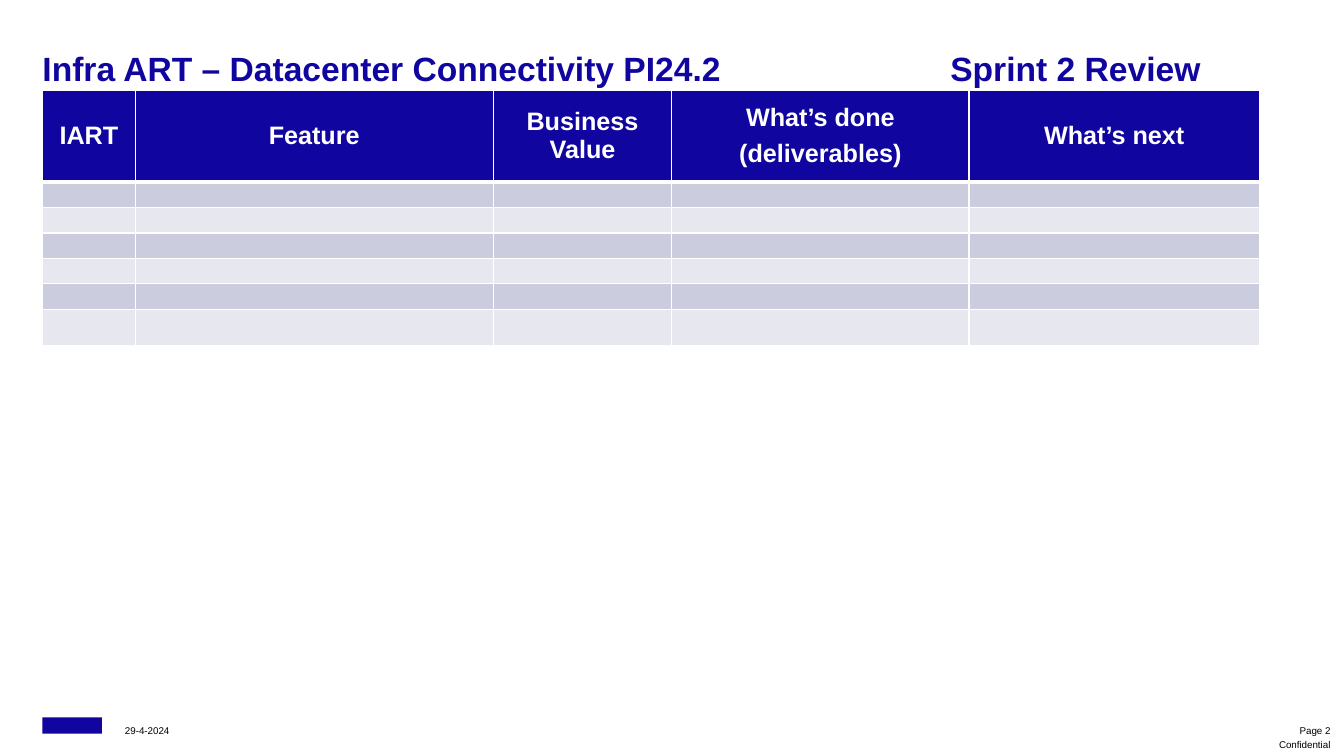
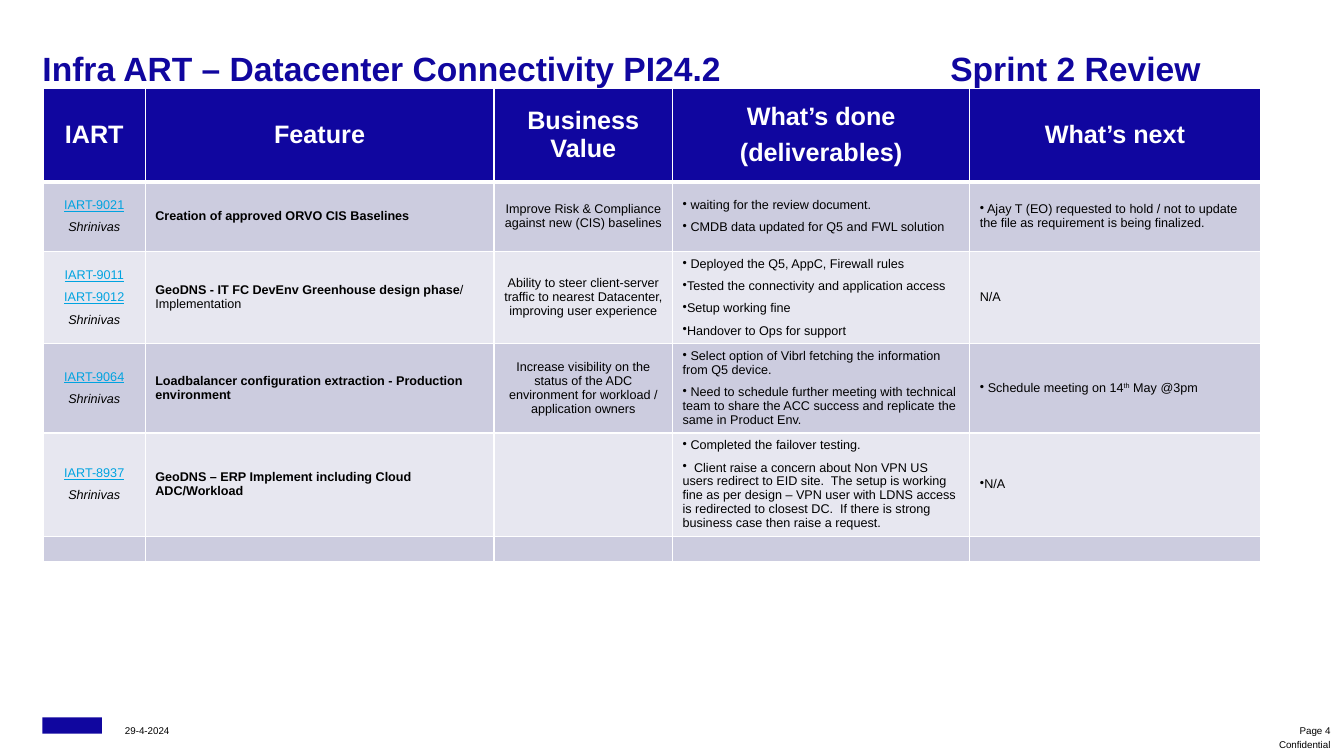
from dataclasses import dataclass

from lxml import etree
from pptx import Presentation
from pptx.dml.color import RGBColor
from pptx.enum import shapes, text
from pptx.oxml.ns import qn
from pptx.util import Cm, Pt


# Theme: every colour and type size
@dataclass(frozen=True)
class Theme:
    font: str = "Arial"
    brand: str = "10069F"
    link: str = "00A3E0"
    ink: str = "000000"
    white: str = "FFFFFF"
    bands: tuple = ("CCCCDF", "E7E7F0")
    title: float = 24
    heading: float = 18
    body: float = 9
    footer: float = 7
    thin: float = 1
    thick: float = 3


THEME = Theme()


# Text model: a line is made of spans
@dataclass(frozen=True)
class Span:
    text: str
    size: float = THEME.body
    color: str = THEME.ink
    bold: bool = False
    italic: bool = False
    underline: bool = False
    raised: bool = False


@dataclass(frozen=True)
class Line:
    spans: tuple
    align: text.PP_ALIGN = text.PP_ALIGN.LEFT
    bullet: bool = False


def plain(words):
    return Line((Span(words),))


def centred(words, **style):
    return Line((Span(words, **style),), text.PP_ALIGN.CENTER)


def issue(*keys, owner="Shrinivas"):
    links = [centred(key, color=THEME.link, underline=True) for key in keys]
    return [*links, centred(owner, italic=True)]


def feature(name, rest=""):
    spans = (Span(name, bold=True),) + ((Span(rest),) if rest else ())
    return [Line(spans)]


def bullets(*items):
    return [Line((Span(item),) if isinstance(item, str) else item, bullet=True)
            for item in items]


def heading(*rows):
    return [centred(row, size=THEME.heading, color=THEME.white, bold=True)
            for row in rows]


class SlideBuilder:
    """Holds the style and the slide being built."""

    def __init__(self, theme):
        self.theme = theme
        self.deck = Presentation()
        self.deck.slide_width, self.deck.slide_height = Cm(33.87), Cm(19.05)
        self.page = None

    def new_page(self, title, subject, number):
        self.page = self.deck.slides.add_slide(self.deck.slide_layouts[5])
        self.title(title, subject)
        self.footer(number)

    def set_line(self, para, line):
        para.text = line.spans[0].text
        for extra in line.spans[1:]:
            para.add_run().text = extra.text
        para.alignment = line.align
        for run, span in zip(para.runs, line.spans):
            font = run.font
            font.name, font.size = self.theme.font, Pt(span.size)
            font.bold, font.italic = span.bold, span.italic
            font.underline = span.underline
            font.color.rgb = RGBColor.from_string(span.color)
            if span.raised:
                font._element.set("baseline", "30000")
        if line.bullet:
            props = para._p.get_or_add_pPr()
            props.set("marL", "0")
            props.set("indent", "0")
            etree.SubElement(props, qn("a:buChar")).set("char", "•")

    def frame(self, box, anchor):
        frame = box.text_frame
        frame.word_wrap = True
        frame.auto_size = text.MSO_AUTO_SIZE.NONE
        frame.vertical_anchor = anchor
        frame.margin_left = frame.margin_right = 0
        frame.margin_top = frame.margin_bottom = 0
        return frame

    def title(self, left_part, right_part):
        box = self.page.shapes.title
        box.left, box.top = Cm(1.07), Cm(1.19)
        box.width, box.height = Cm(30.18), Cm(1.04)
        para = self.frame(box, text.MSO_ANCHOR.BOTTOM).paragraphs[0]
        self.set_line(para, Line((Span(f"{left_part}\t{right_part}", self.theme.title,
                                       self.theme.brand, bold=True),)))
        tabs = etree.SubElement(para._p.get_or_add_pPr(), qn("a:tabLst"))
        stop = etree.SubElement(tabs, qn("a:tab"))
        stop.set("pos", str(Cm(22.88)))
        stop.set("algn", "l")

    def label(self, words, left, top, align):
        box = self.page.shapes.add_textbox(Cm(left), Cm(top), Cm(3), Cm(0.4))
        frame = self.frame(box, text.MSO_ANCHOR.MIDDLE)
        self.set_line(frame.paragraphs[0],
                      Line((Span(words, self.theme.footer),), align))

    def footer(self, number):
        mark = self.page.shapes.add_shape(
            shapes.MSO_SHAPE.RECTANGLE, Cm(1.07), Cm(18.08), Cm(1.5), Cm(0.41))
        mark.shadow.inherit = False
        mark.fill.solid()
        mark.fill.fore_color.rgb = RGBColor.from_string(self.theme.brand)
        mark.line.fill.background()
        self.label("29-4-2024", 3.15, 18.2, text.PP_ALIGN.LEFT)
        self.label(f"Page {number}", 30.53, 18.2, text.PP_ALIGN.RIGHT)
        self.label("Confidential", 30.53, 18.56, text.PP_ALIGN.RIGHT)

    def borders(self, cell, top, bottom):
        props = cell._tc.get_or_add_tcPr()
        thin = self.theme.thin
        for side, width in zip("LRTB", (thin, thin, top, bottom)):
            edge = etree.SubElement(props, qn(f"a:ln{side}"))
            edge.set("w", str(Pt(width)))
            fill = etree.SubElement(edge, qn("a:solidFill"))
            etree.SubElement(fill, qn("a:srgbClr")).set("val", self.theme.white)

    def cell(self, cell, lines, row):
        theme = self.theme
        self.borders(cell, theme.thick if row == 1 else theme.thin,
                     theme.thick if row == 0 else theme.thin)
        cell.fill.solid()
        cell.fill.fore_color.rgb = RGBColor.from_string(
            theme.bands[(row - 1) % 2] if row else theme.brand)
        cell.vertical_anchor = text.MSO_ANCHOR.MIDDLE
        frame = cell.text_frame
        if not lines:
            end = etree.SubElement(frame.paragraphs[0]._p, qn("a:endParaRPr"))
            end.set("sz", str(int(theme.body * 100)))
        for index, line in enumerate(lines):
            para = frame.add_paragraph() if index else frame.paragraphs[0]
            para.line_spacing = 0.98
            para.space_after = Pt(6)
            self.set_line(para, line)

    def table(self, left, top, widths, heights, rows):
        grid = self.page.shapes.add_table(
            len(heights), len(widths), Cm(left), Cm(top),
            Cm(sum(widths)), Cm(sum(heights))).table
        grid.first_row = grid.horz_banding = False
        for column, width in zip(grid.columns, widths):
            column.width = Cm(width)
        for row, height in zip(grid.rows, heights):
            row.height = Cm(height)
        for r in range(len(heights)):
            for c in range(len(widths)):
                lines = rows[r][c] if r < len(rows) else []
                self.cell(grid.cell(r, c), lines, r)


# Content
TITLE = ("Infra ART – Datacenter Connectivity PI24.2", "Sprint 2 Review")
HEADER = [heading("IART"), heading("Feature"), heading("Business Value"),
          heading("What’s done", "(deliverables)"), heading("What’s next")]
SHARED_WIDTHS = [4.5, 7.49, 7.32]

FEATURES = [
    [issue("IART-9021"),
     feature("Creation of approved ORVO CIS Baselines"),
     [centred("Improve Risk & Compliance against new (CIS) baselines")],
     bullets(" waiting for the review document.",
             " CMDB data updated for Q5 and FWL solution"),
     bullets(" Ajay T (EO) requested to hold / not to update the file as "
             "requirement is being finalized.")],
    [issue("IART-9011", "IART-9012"),
     feature("GeoDNS - IT FC DevEnv Greenhouse design phase", "/ Implementation"),
     [centred("Ability to steer client-server traffic to nearest Datacenter, "
              "improving user experience")],
     bullets(" Deployed the Q5, AppC, Firewall rules",
             "Tested the connectivity and application access",
             "Setup working fine",
             "Handover to Ops for support"),
     [plain("N/A")]],
    [issue("IART-9064"),
     feature("Loadbalancer configuration extraction - Production environment"),
     [centred("Increase visibility on the status of the ADC environment for "
              "workload / application owners")],
     bullets(" Select option of Vibrl fetching the information from Q5 device.",
             " Need to schedule further meeting with technical team to share the "
             "ACC success and replicate the same in Product Env."),
     bullets((Span(" Schedule meeting on 14"), Span("th", raised=True),
              Span(" May @3pm")))],
    [issue("IART-8937"),
     feature("GeoDNS – ERP Implement including Cloud ADC/Workload"),
     [],
     bullets(" Completed the failover testing.",
             "  Client raise a concern about Non VPN US users redirect to EID site.  "
             "The setup is working fine as per design – VPN user with LDNS access is "
             "redirected to closest DC.  If there is strong business case then raise "
             "a request."),
     bullets("N/A")],
]


def main():
    builder = SlideBuilder(THEME)

    # Empty review sheet
    builder.new_page(*TITLE, 2)
    builder.table(1.07, 2.29, [2.34, 9.02, *SHARED_WIDTHS],
                  [2.3, *[0.61] * 5, 0.91], [HEADER])

    # Completed review sheet
    builder.new_page(*TITLE, 4)
    builder.table(1.09, 2.24, [2.57, 8.79, *SHARED_WIDTHS],
                  [2.34, 1.76, 2.32, 2.25, 2.6, 0.61], [HEADER, *FEATURES])

    builder.deck.save("out.pptx")


if __name__ == "__main__":
    main()
